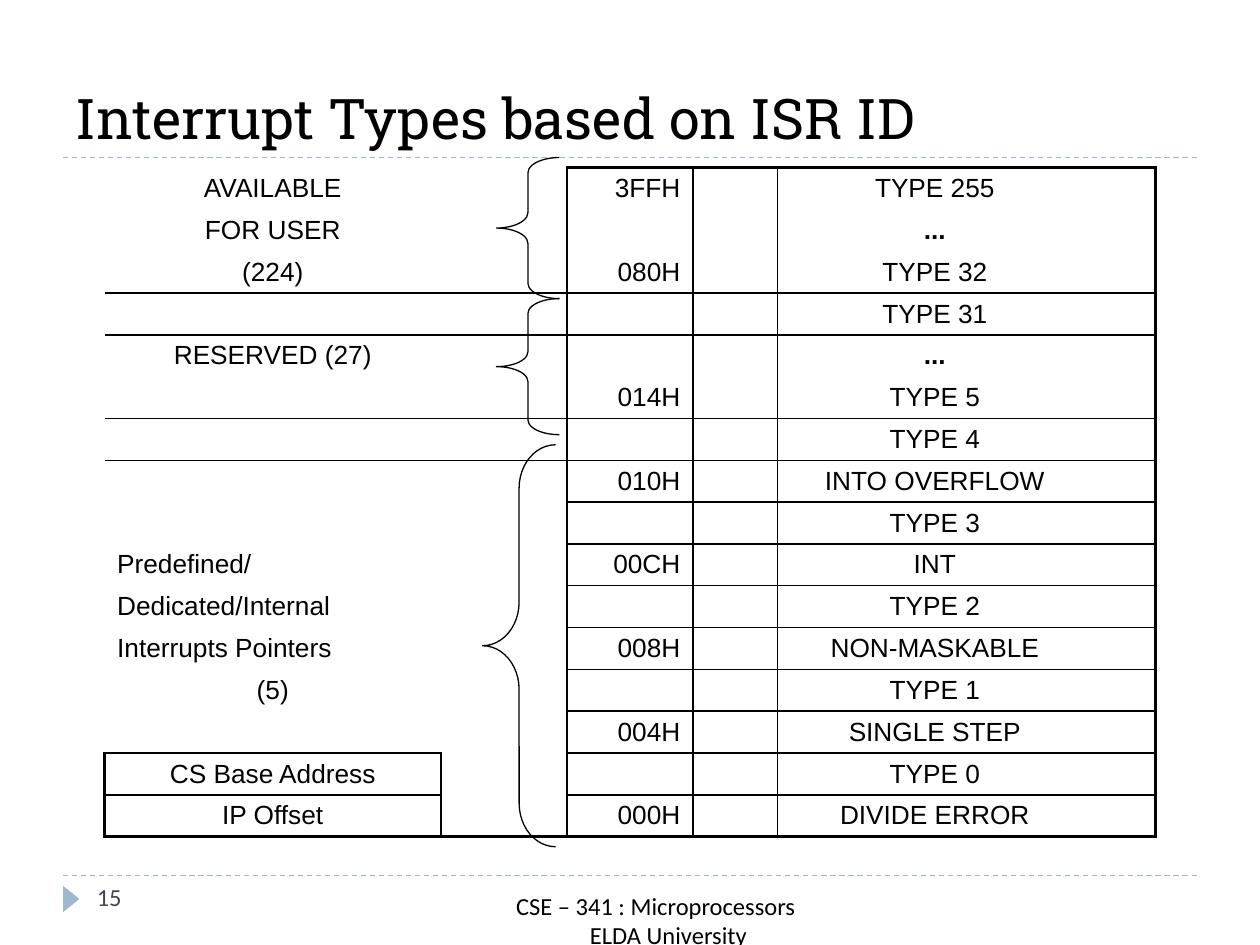
from dataclasses import dataclass

from lxml import etree
from pptx import Presentation
from pptx import util as u
from pptx.dml.color import RGBColor
from pptx.enum import dml, shapes, text
from pptx.oxml import ns

Inches = u.Inches
LEFT, CENTER, RIGHT = text.PP_ALIGN.LEFT, text.PP_ALIGN.CENTER, text.PP_ALIGN.RIGHT


@dataclass(frozen=True)
class Theme:
    ink: str = "000000"
    muted: str = "464653"
    accent: str = "9FB8CD"
    heading_font: str = "Roboto Slab"
    table_font: str = "Arial"
    footer_font: str = "Calibri"
    title_size: int = 32
    table_size: int = 15
    footer_size: int = 14
    thin: float = 0.75
    grid: float = 1
    frame: float = 2.25
    plain_table: str = "{2D5ABB26-0587-4C30-8999-92F81FD0307C}"


LABELS = {
    0: ("AVAILABLE", CENTER), 1: ("FOR USER", CENTER), 2: ("(224)", CENTER),
    4: ("RESERVED (27)", CENTER), 9: ("Predefined/", LEFT),
    10: ("Dedicated/Internal", LEFT), 11: ("Interrupts Pointers", LEFT),
    12: ("(5)", CENTER), 14: ("CS Base Address", CENTER), 15: ("IP Offset", CENTER),
}
ADDRESSES = {0: "3FFH", 2: "080H", 5: "014H", 7: "010H", 9: "00CH",
             11: "008H", 13: "004H", 15: "000H"}
TYPES = [
    "TYPE 255", "...", "TYPE 32", "TYPE 31", "...", "TYPE 5",
    "TYPE 4", "INTO OVERFLOW", "TYPE 3", "INT", "TYPE 2", "NON-MASKABLE",
    "TYPE 1", "SINGLE STEP", "TYPE 0", "DIVIDE ERROR",
]
COLUMN_WIDTHS = [2.67, 1, 1, 0.67, 2.5, 0.5]
ROW_HEIGHT = 0.332


def place(shape, box):
    for name, value in zip(("left", "top", "width", "height"), box):
        setattr(shape, name, Inches(value))


class SlideBuilder:
    """Draws themed elements on the current slide."""

    def __init__(self, slide, theme):
        self.slide, self.theme = slide, theme

    def add_text(self, paragraph, content, font, size, color, align=LEFT, bold=False):
        paragraph.alignment = align
        run = paragraph.add_run()
        run.text = content
        formats = {"name": font, "size": u.Pt(size), "bold": bold}
        for name, value in formats.items():
            setattr(run.font, name, value)
        run.font.color.rgb = RGBColor.from_string(color)

    def title(self, content, box):
        shape = self.slide.shapes.title
        place(shape, box)
        shape.text_frame.vertical_anchor = text.MSO_ANCHOR.BOTTOM
        theme = self.theme
        self.add_text(shape.text_frame.paragraphs[0], content, theme.heading_font,
                      theme.title_size, theme.ink)

    def footer(self, lines, box, color, align=LEFT, last_indent=0):
        frame = self.slide.shapes.add_textbox(*map(Inches, box)).text_frame
        frame.word_wrap = True
        for index, content in enumerate(lines):
            paragraph = frame.add_paragraph() if index else frame.paragraphs[0]
            self.add_text(paragraph, content, self.theme.footer_font,
                          self.theme.footer_size, color, align)
        if last_indent:
            paragraph._p.get_or_add_pPr().set("marL", str(Inches(last_indent)))

    def divider(self, top):
        line = self.slide.shapes.add_connector(
            shapes.MSO_CONNECTOR.STRAIGHT, *map(Inches, (0.5, top, 9.5, top)))
        line.line.color.rgb = RGBColor.from_string(self.theme.accent)
        line.line.width = u.Pt(self.theme.thin)
        line.line.dash_style = dml.MSO_LINE.DASH
        etree.SubElement(line._element.spPr, ns.qn("a:effectLst"))

    def marker(self, box):
        shape = self.slide.shapes.add_shape(
            shapes.MSO_SHAPE.ISOSCELES_TRIANGLE, *map(Inches, box))
        shape.rotation = 90
        shape.shadow.inherit = False
        shape.fill.solid()
        shape.fill.fore_color.rgb = RGBColor.from_string(self.theme.accent)
        shape.line.fill.background()

    def braces(self, items):
        group = self.slide.shapes.add_group_shape()
        for box, curve in items:
            shape = group.shapes.add_shape(shapes.MSO_SHAPE.LEFT_BRACE, *map(Inches, box))
            shape.adjustments[0] = curve
            shape.shadow.inherit = False
            shape.fill.background()
            shape.line.color.rgb = RGBColor.from_string(self.theme.ink)
            shape.line.width = u.Pt(self.theme.thin)

    def table(self, rows, left, top):
        graphic = self.slide.shapes.add_table(
            len(rows), len(COLUMN_WIDTHS), Inches(left), Inches(top),
            Inches(sum(COLUMN_WIDTHS)), Inches(ROW_HEIGHT * len(rows)))
        table = graphic.table
        table.first_row = table.horz_banding = False
        table._tbl.tblPr.find(ns.qn("a:tableStyleId")).text = self.theme.plain_table
        for column, width in zip(table.columns, COLUMN_WIDTHS):
            column.width = Inches(width)
        for index, row in enumerate(rows):
            table.rows[index].height = Inches(ROW_HEIGHT)
            for column in range(len(COLUMN_WIDTHS)):
                cell = table.cell(index, column)
                cell.margin_top = cell.margin_bottom = 0
                cell.vertical_anchor = text.MSO_ANCHOR.MIDDLE
                cell.fill.background()
                if column in row:
                    content, align = row[column]
                    self.add_text(cell.text_frame.paragraphs[0], content,
                                  self.theme.table_font, self.theme.table_size,
                                  self.theme.ink, align, content == "...")
        return table

    def borders(self, table, horizontal, vertical):
        edges = {}
        for row, first, last, width in horizontal:
            for column in range(first, last):
                edges.setdefault((row, column), {})["lnT"] = width
                edges.setdefault((row - 1, column), {})["lnB"] = width
        for column, first, last, width in vertical:
            for row in range(first, last):
                edges.setdefault((row, column), {})["lnL"] = width
                edges.setdefault((row, column - 1), {})["lnR"] = width
        for (row, column), sides in edges.items():
            if row in range(len(table.rows)) and column in range(len(table.columns)):
                self.cell_border(table.cell(row, column), sides)

    def cell_border(self, cell, sides):
        properties = cell._tc.get_or_add_tcPr()
        ordered = [side for side in ("lnL", "lnR", "lnT", "lnB") if side in sides]
        for position, side in enumerate(ordered):
            line = etree.Element(ns.qn(f"a:{side}"), w=str(u.Pt(sides[side])))
            fill = etree.SubElement(line, ns.qn("a:solidFill"))
            etree.SubElement(fill, ns.qn("a:srgbClr"), val=self.theme.ink)
            properties.insert(position, line)


def table_rows():
    rows = []
    for index, kind in enumerate(TYPES):
        row = {4: (kind, CENTER)}
        if index in LABELS:
            row[0] = LABELS[index]
        if index in ADDRESSES:
            row[2] = (ADDRESSES[index], RIGHT)
        rows.append(row)
    return rows


def main():
    presentation = Presentation()
    presentation.slide_width, presentation.slide_height = Inches(10), Inches(7.5)
    theme = Theme()
    slide = presentation.slides.add_slide(presentation.slide_layouts[5])
    builder = SlideBuilder(slide, theme)

    for top in (6.95, 1.25):
        builder.divider(top)
    builder.marker((0.46, 7.07, 0.21, 0.13))
    builder.title("Interrupt Types based on ISR ID", (0.5, 0.17, 9, 1.08))
    builder.footer(["15"], (0.67, 6.95, 2.17, 0.4), theme.muted)

    table = builder.table(table_rows(), 0.83, 1.33)
    count, grid, frame = len(TYPES), theme.grid, theme.frame
    horizontal = [(0, 2, 6, frame), (count, 0, 6, frame)]
    horizontal += [(row, 0, 6, grid) for row in (3, 6)]
    horizontal += [(row, 2, 6, grid) for row in range(8, count, 2)]
    horizontal += [(row, column, column + 1, grid)
                   for row in range(7, count, 2) for column in (3, 5)]
    horizontal += [(row, 0, 1, grid) for row in (14, 15)]
    vertical = [(2, 0, count, grid), (3, 0, count, grid), (6, 0, count, frame),
                (0, 14, count, frame), (1, 14, count, grid)]
    builder.borders(table, horizontal, vertical)

    builder.braces([((3.83, 3.53, 0.58, 3.19), 0.595),
                    ((3.94, 2.37, 0.5, 1.08), 0.236),
                    ((3.94, 1.25, 0.5, 1.12), 0.245)])
    builder.footer(["CSE – 341 : Microprocessors", "ELDA University"],
                   (1.83, 7.02, 6.75, 0.4), theme.ink, CENTER, 0.2)
    presentation.save("out.pptx")


if __name__ == "__main__":
    main()
